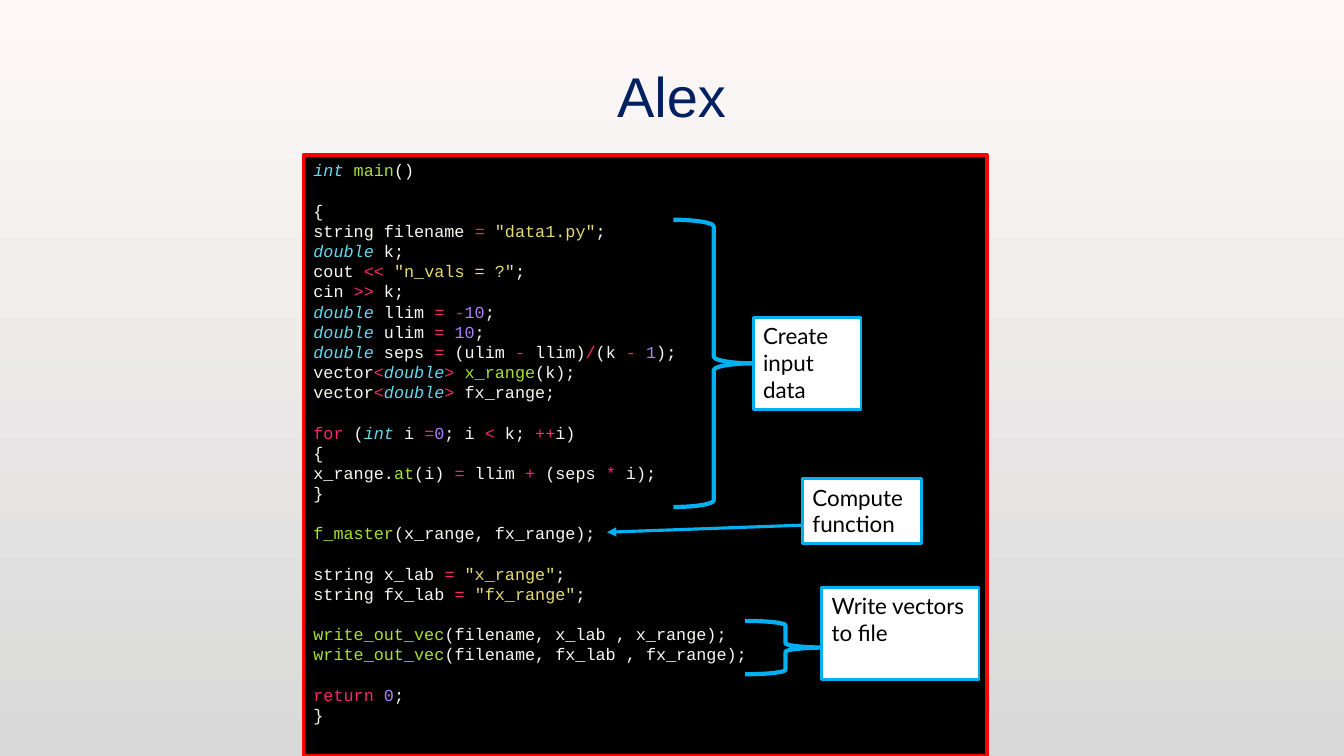
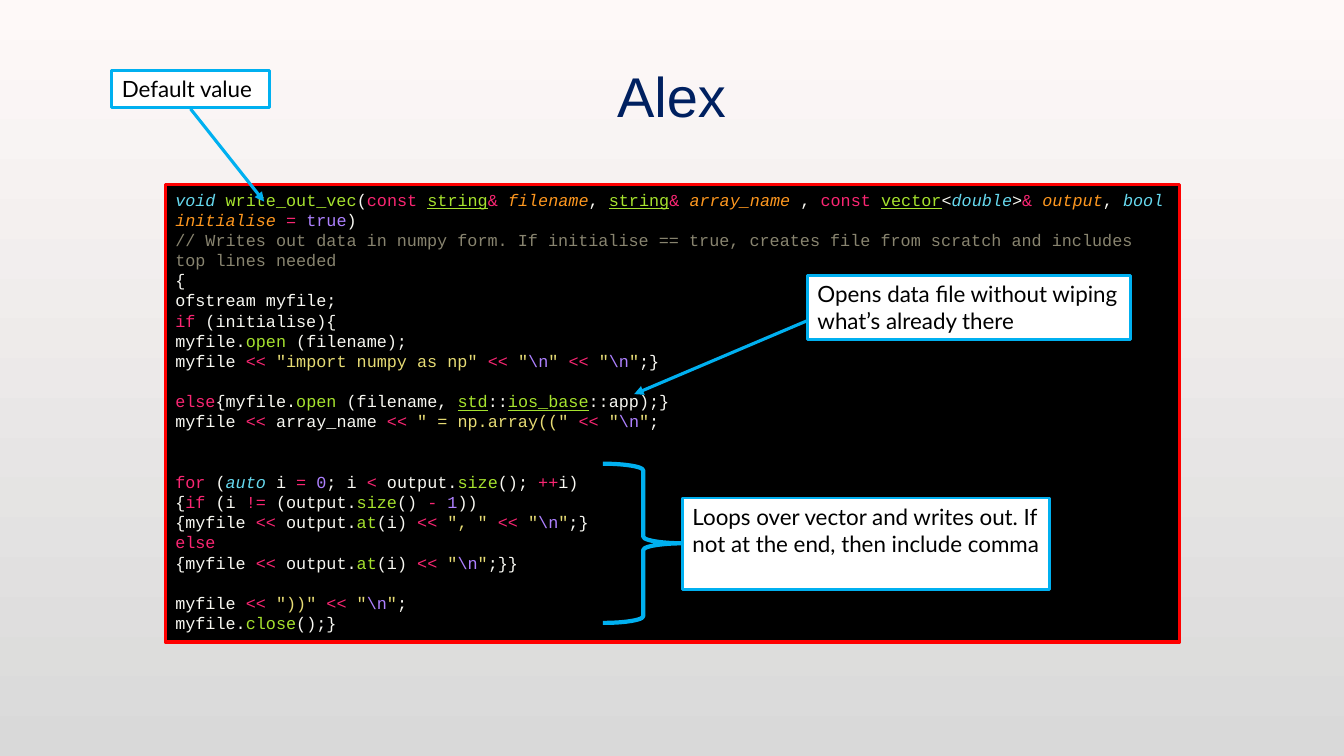
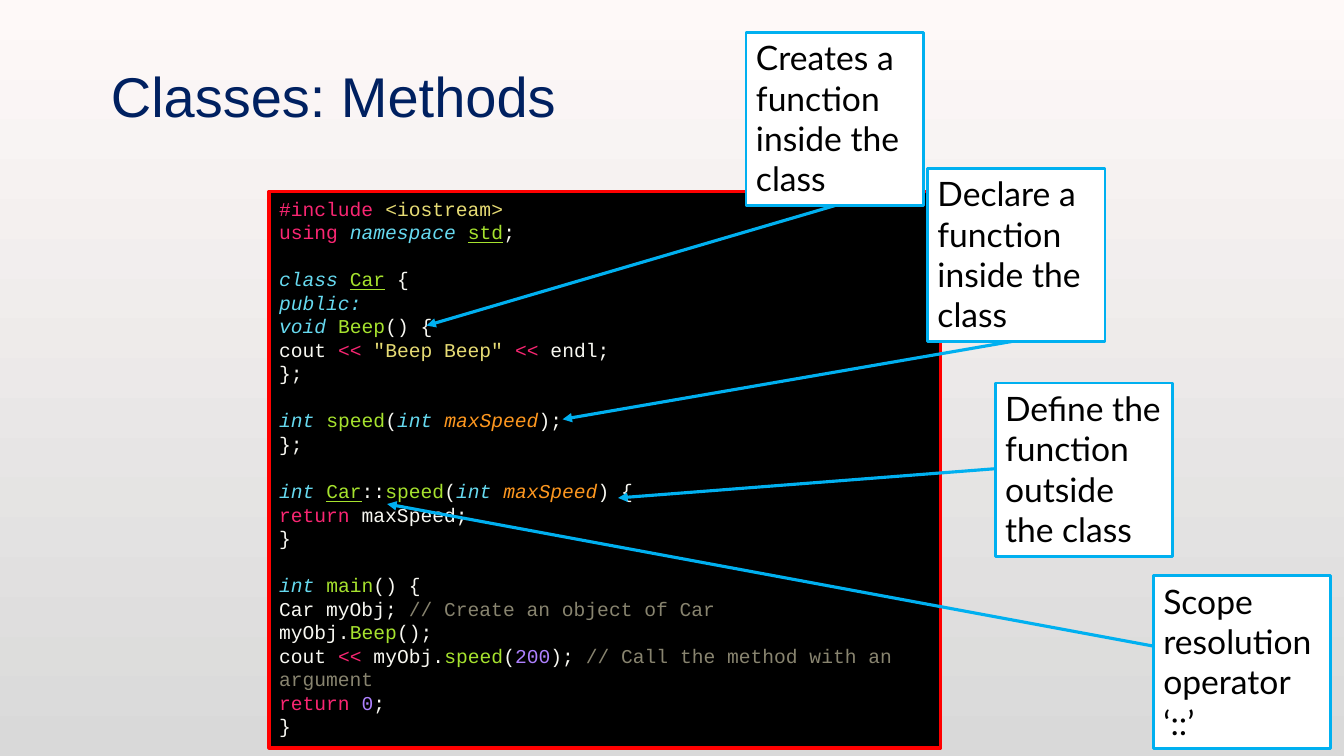
from dataclasses import dataclass

from lxml.etree import SubElement
from pptx import Presentation
from pptx.dml.color import RGBColor
from pptx.enum.shapes import MSO_CONNECTOR, MSO_SHAPE
from pptx.enum.text import MSO_ANCHOR, PP_ALIGN
from pptx.oxml import parse_xml
from pptx.oxml.ns import nsdecls, qn
from pptx.util import Inches, Pt


@dataclass(frozen=True)
class Theme:
    sky: str = "FEF9F8"
    ground: str = "D9D9D9"
    title: str = "002060"
    title_outline: str = "404040"
    frame: str = "FF0000"
    accent: str = "00B0F0"
    paper: str = "FFFFFF"
    ink: str = "000000"
    code: str = "F8F8F2"
    title_font: str = "Arial"
    code_font: str = "Courier New"
    note_font: str = "Lato"
    title_size: int = 40
    code_size: int = 12
    code_large: int = 14
    note_size: int = 16
    note_large: int = 24
    code_leading: float = 1.2


THEME = Theme()

# Markup key: colour, italic, underlined
SYNTAX = {
    "k": ("F92672", False, False),  # keyword or operator
    "t": ("66D9EF", True, False),   # type
    "f": ("A6E22E", False, False),  # function
    "u": ("A6E22E", False, True),   # class or namespace
    "s": ("E6DB74", False, False),  # string
    "n": ("AE81FF", False, False),  # number or constant
    "p": ("FD971F", True, False),   # parameter
    "c": ("88846F", False, False),  # comment
}

MAIN_INPUT = r'''
[t int ][f main]()

{
string filename [k = ][s "data1.py"];
[t double] k;
cout [k << ][s "n_vals = ?"];
cin [k >>] k;
[t double ]llim [k = -][n 10];
[t double ]ulim [k = ][n 10];
[t double] seps [k =] (ulim [k - ]llim)[k /](k [k - ][n 1]);
vector[k <][t double][k > ][f x_range](k);
vector[k <][t double][k > ]fx_range;
'''

MAIN_OUTPUT = r'''
[k for] ([t int ]i [k =][n 0]; i [k <] k; [k ++]i)
{
x_range.[f at](i) [k = ]llim [k +] (seps [k * ]i);
}

[f f_master](x_range, fx_range);

string x_lab [k = ][s "x_range"];
string fx_lab [k = ][s "fx_range"];

[f write_out_vec](filename, x_lab , x_range);
[f write_out_vec](filename, fx_lab , fx_range);

[k return ][n 0];
}
'''

WRITER_OPENING = r'''
[t void ][f write_out_vec]([k const ][u string][k & ][p filename], [u string][k & ][p array_name] , [k const ][u vector]<[t double]>[k & ][p output], [t bool ][p initialise ][k = ][n true])
[c // Writes out data in numpy form. If initialise == true, creates file from scratch and includes top lines needed]
{
ofstream myfile;
[k if] (initialise){
myfile.[f open] (filename);
myfile [k << ][s "import numpy as np" ][k << ][s "][n \n][s " ][k << ][s "][n \n][s "];}
'''

WRITER_LOOP = r'''
[k else]{myfile.[f open] (filename, [u std]::[u ios_base]::app);}
myfile [k << ]array_name [k << ][s " = np.array((" ][k << ][s "][n \n][s "];


[k for] ([t auto ]i [k = ][n 0]; i [k < ]output.[f size](); [k ++]i)
{[k if] (i [k !=] (output.[f size]() [k - ][n 1]))
{myfile [k << ]output.[f at](i) [k << ][s ", " ][k << ][s "][n \n][s "];}
[k else]
{myfile [k << ]output.[f at](i) [k << ][s "][n \n][s "];}}

myfile [k << ][s "))" ][k << ][s "][n \n][s "];
myfile.[f close]();}
'''

CLASS_DECLARATION = r'''
[k #include ][s <iostream>]
[k using ][t namespace ][u std];

[t class ][u Car] {
[t public:]
[t void ][f Beep]() {
cout [k << ][s "Beep Beep" ][k << ]endl;
};

[t int ][f speed]([t int ][p maxSpeed]);
};
'''

CLASS_USE = r'''
[t int ][u Car]::[f speed]([t int ][p maxSpeed]) {
[k return ]maxSpeed;
}

[t int ][f main]() {
Car myObj;[c  // Create an object of Car]
myObj.[f Beep]();
cout [k << ]myObj.[f speed]([n 200]);[c  // Call the method with an argument]
[k return ][n 0];
}
'''


def rgb(colour):
    return RGBColor.from_string(colour)


def format_run(run, font, size, colour, italic=False, underline=False):
    run.font.name = font
    run.font.size = Pt(size)
    run.font.color.rgb = rgb(colour)
    run.font.italic = italic
    run.font.underline = underline


class Deck:
    def __init__(self, theme):
        self.theme = theme
        self.presentation = Presentation()
        self.presentation.slide_width = Inches(13.33)
        self.presentation.slide_height = Inches(7.5)
        self.slide = None
        backdrop = self.presentation.slide_master.background.fill
        backdrop.gradient()
        backdrop.gradient_angle = 270
        for stop, colour in zip(backdrop.gradient_stops, (theme.sky, theme.ground)):
            stop.color.rgb = rgb(colour)

    def start_slide(self, heading, align=PP_ALIGN.CENTER):
        theme = self.theme
        self.slide = self.presentation.slides.add_slide(self.presentation.slide_layouts[5])
        title = self.slide.shapes.title
        title.left, title.top = Inches(1), Inches(0.25)
        title.width, title.height = Inches(11.32), Inches(1.38)
        title.text_frame.text = heading
        title.text_frame.vertical_anchor = MSO_ANCHOR.MIDDLE
        paragraph = title.text_frame.paragraphs[0]
        paragraph.alignment = align
        run = paragraph.runs[0]
        format_run(run, theme.title_font, theme.title_size, theme.title)
        self.add_text_glow(run)

    def add_text_glow(self, run):
        """Give the run a faint outline and a soft drop shadow."""
        properties = run.font._element
        outline = parse_xml(
            f'<a:ln {nsdecls("a")} w="9525"><a:solidFill>'
            f'<a:srgbClr val="{self.theme.title_outline}"><a:alpha val="10000"/></a:srgbClr>'
            '</a:solidFill></a:ln>')
        shadow = parse_xml(
            f'<a:effectLst {nsdecls("a")}><a:outerShdw blurRad="38100" dist="38100" dir="2700000">'
            '<a:srgbClr val="000000"><a:alpha val="43000"/></a:srgbClr>'
            '</a:outerShdw></a:effectLst>')
        properties.insert(0, outline)
        properties.find(qn("a:solidFill")).addnext(shadow)

    def add_outline(self, preset, at, line, weight, fill=None):
        shape = self.slide.shapes.add_shape(preset, *map(Inches, at))
        shape.shadow.inherit = False
        shape.line.color.rgb = rgb(line)
        shape.line.width = Pt(weight)
        if fill:
            shape.fill.solid()
            shape.fill.fore_color.rgb = rgb(fill)
        else:
            shape.fill.background()
        frame = shape.text_frame
        frame.word_wrap = True
        frame.vertical_anchor = MSO_ANCHOR.TOP
        return frame

    def add_code(self, sections, at, size):
        """Set [key text] markup in SYNTAX colours; empty lines become space before."""
        theme = self.theme
        frame = self.add_outline(MSO_SHAPE.RECTANGLE, at, theme.frame, 2.5, theme.ink)
        pitch = size * theme.code_leading
        paragraph, gaps = None, 0
        for line in "".join(sections).strip("\n").split("\n"):
            if not line:
                gaps += 1
                continue
            paragraph = frame.add_paragraph() if paragraph else frame.paragraphs[0]
            paragraph.alignment = PP_ALIGN.LEFT
            paragraph.line_spacing = Pt(pitch)
            if gaps:
                paragraph.space_before = Pt(gaps * pitch)
            gaps = 0
            for index, part in enumerate(line.replace("]", "[").split("[")):
                if not part:
                    continue
                tagged = index % 2
                look = SYNTAX[part[0]] if tagged else (theme.code, False, False)
                run = paragraph.add_run()
                run.text = part[2:] if tagged else part
                format_run(run, theme.code_font, size, *look)

    def add_note(self, words, at, size=THEME.note_size):
        theme = self.theme
        frame = self.add_outline(MSO_SHAPE.RECTANGLE, at, theme.accent, 2, theme.paper)
        frame.text = words
        frame.paragraphs[0].alignment = PP_ALIGN.LEFT
        format_run(frame.paragraphs[0].runs[0], theme.note_font, size, theme.ink)

    def add_brace(self, at):
        self.add_outline(MSO_SHAPE.RIGHT_BRACE, at, self.theme.accent, 3)

    def add_arrow(self, start, end):
        arrow = self.slide.shapes.add_connector(
            MSO_CONNECTOR.STRAIGHT, *map(Inches, (*start, *end)))
        arrow.line.color.rgb = rgb(self.theme.accent)
        arrow.line.width = Pt(2.25)
        SubElement(arrow.line._get_or_add_ln(), qn("a:tailEnd"), type="triangle")
        SubElement(arrow._element.spPr, qn("a:effectLst"))


def build_main_slide(deck):
    deck.start_slide("Alex")
    deck.add_code((MAIN_INPUT, MAIN_OUTPUT), (3.01, 1.54, 6.78, 5.96), THEME.code_size)
    deck.add_brace((6.68, 2.18, 0.8, 2.85))
    deck.add_note("Create input data", (7.47, 3.15, 1.07, 0.91))
    deck.add_arrow((7.96, 5.21), (6.02, 5.28))
    deck.add_note("Compute function", (7.96, 4.75, 1.18, 0.64))
    deck.add_brace((7.39, 6.16, 0.8, 0.53))
    deck.add_note("Write vectors to file", (8.15, 5.83, 1.56, 0.91))


def build_writer_slide(deck):
    deck.start_slide("Alex")
    deck.add_code((WRITER_OPENING, WRITER_LOOP), (1.64, 1.83, 10.06, 4.54), THEME.code_size)
    deck.add_arrow((8.01, 3.18), (6.29, 3.91))
    deck.add_note("Opens data file without wiping what’s already there", (8.01, 2.73, 3.2, 0.64))
    deck.add_brace((5.98, 4.6, 0.8, 1.58))
    deck.add_note("Loops over vector and writes out. If not at the end, then include comma",
                  (6.77, 4.94, 3.64, 0.91))
    deck.add_arrow((1.89, 1.08), (2.62, 2))
    deck.add_note("Default value", (1.11, 0.7, 1.56, 0.37))


def build_class_slide(deck):
    deck.start_slide("Classes: Methods", PP_ALIGN.LEFT)
    deck.add_code((CLASS_DECLARATION, CLASS_USE), (2.67, 1.9, 6.66, 5.52), THEME.code_large)
    for words, corner, start, end in (
        ("Creates a function inside the class", (7.4, 0.32), (8.28, 2.04), (4.23, 3.23)),
        ("Declare a function inside the class", (9.2, 1.67), (10.08, 3.38), (5.58, 4.16)),
        ("Define the function outside the class", (9.87, 3.8), (9.87, 4.65), (6.13, 4.94)),
        ("Scope resolution operator ‘::’", (11.44, 5.71), (11.44, 6.41), (3.84, 5)),
    ):
        deck.add_arrow(start, end)
        deck.add_note(words, (*corner, 1.76, 1.72), THEME.note_large)


def main():
    deck = Deck(THEME)
    build_main_slide(deck)
    build_writer_slide(deck)
    build_class_slide(deck)
    deck.presentation.save("out.pptx")


if __name__ == "__main__":
    main()
